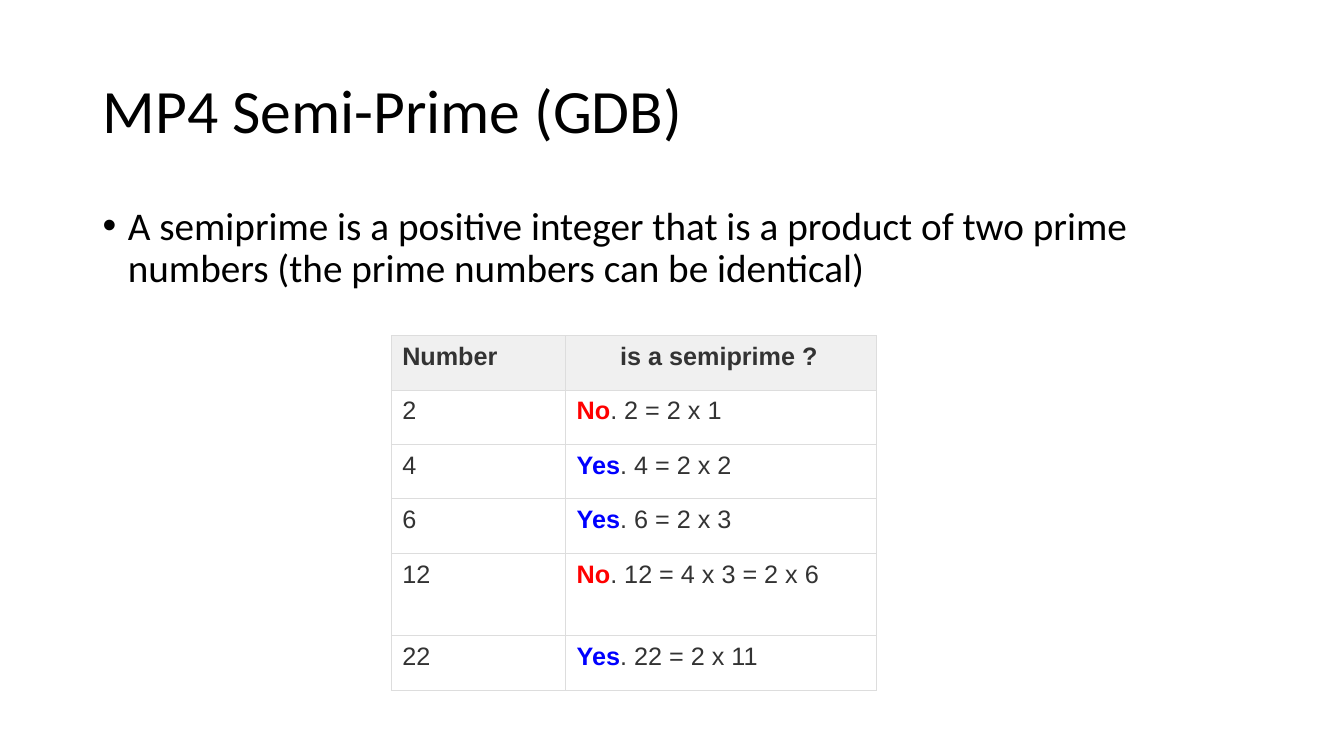
"""Build the semiprime slide: a title, a definition and a table of examples."""
from dataclasses import dataclass

from lxml.etree import SubElement
from pptx import Presentation
from pptx.dml.color import RGBColor as Rgb
from pptx.enum.text import MSO_ANCHOR as Anchor, PP_ALIGN as Align
from pptx.oxml import parse_xml
from pptx.oxml.ns import nsdecls, qn
from pptx.util import Pt

SCALE = 9144
COLORS = {
    "black": "000000", "text": "333333", "no": "FF0000", "yes": "0000FF",
    "head": "F0F0F0", "body": "FFFFFF", "rule": "DDDDDD",
}
COLS = (173, 308)
ROW = 54


@dataclass
class Block:
    text: str
    top: int
    height: int
    size: int
    anchor: Anchor
    bullet: bool = False


@dataclass
class Case:
    number: int
    prime: bool
    proof: str
    height: int = ROW


BLOCKS = (
    Block("MP4 Semi-Prime (GDB)", 40, 145, 44, Anchor.MIDDLE),
    Block("A semiprime is a positive integer that is a product of two prime "
          "numbers (the prime numbers can be identical)",
          200, 476, 28, Anchor.TOP, True),
)
CASES = (
    Case(2, False, "2 x 1"),
    Case(4, True, "2 x 2"),
    Case(6, True, "2 x 3"),
    Case(12, False, "4 x 3 = 2 x 6", 82),
    Case(22, True, "2 x 11"),
)


def px(count: int) -> int:
    return count * SCALE


def style(run, font: str, size: int, color: str, bold: bool = False) -> None:
    run.font.name = font
    run.font.size = Pt(size)
    run.font.bold = bold
    run.font.color.rgb = Rgb.from_string(COLORS[color])


def draw_block(slide, block: Block) -> None:
    box = slide.shapes.add_textbox(px(92), px(block.top), px(1150), px(block.height))
    frame = box.text_frame
    frame.word_wrap = True
    frame.vertical_anchor = block.anchor
    frame.text = block.text
    para = frame.paragraphs[0]
    para.line_spacing = 0.9
    style(para.runs[0], "Calibri", block.size, "black")
    if block.bullet:
        para.space_before = Pt(10)
        props = para._p.get_or_add_pPr()
        props.set("marL", str(px(25)))
        props.set("indent", str(px(-25)))
        SubElement(props, qn("a:buFont"), typeface="Arial")
        SubElement(props, qn("a:buChar"), char="•")


def dress(cell, fill: str, right: int) -> None:
    cell.margin_left, cell.margin_right = px(11), px(right)
    cell.margin_top = cell.margin_bottom = px(7)
    cell.fill.solid()
    cell.fill.fore_color.rgb = Rgb.from_string(COLORS[fill])
    props = cell._tc.get_or_add_tcPr()
    for spot, side in enumerate("LRTB"):
        props.insert(spot, parse_xml(
            f'<a:ln{side} {nsdecls("a")} w="{Pt(0.75)}"><a:solidFill>'
            f'<a:srgbClr val="{COLORS["rule"]}"/></a:solidFill></a:ln{side}>'))


def draw_table(slide, cases: tuple[Case, ...]) -> None:
    heights = [ROW] + [case.height for case in cases]
    table = slide.shapes.add_table(len(heights), len(COLS), px(388), px(333),
                                   px(sum(COLS)), px(sum(heights))).table
    table.first_row = table.horz_banding = False
    for col, width in zip(table.columns, COLS):
        col.width = px(width)
    for row, height in zip(table.rows, heights):
        row.height = px(height)

    for col, label in enumerate(("Number", "is a semiprime ?")):
        cell = table.cell(0, col)
        dress(cell, "head", 15)
        para = cell.text_frame.paragraphs[0]
        para.text = label
        para.alignment = Align.CENTER if col else Align.LEFT
        style(para.runs[0], "Arial", 18, "text", True)

    for row, case in enumerate(cases, 1):
        number, answer = table.cell(row, 0), table.cell(row, 1)
        for cell in (number, answer):
            dress(cell, "body", 11)
        number.text_frame.text = str(case.number)
        style(number.text_frame.paragraphs[0].runs[0], "Arial", 18, "text")
        para = answer.text_frame.paragraphs[0]
        para.text = "Yes" if case.prime else "No"
        style(para.runs[0], "Arial", 18, "yes" if case.prime else "no", True)
        proof = para.add_run()
        proof.text = f". {case.number} = {case.proof}"
        style(proof, "Arial", 18, "text")


def main() -> None:
    deck = Presentation()
    deck.slide_width, deck.slide_height = px(1333), px(750)
    slide = deck.slides.add_slide(deck.slide_layouts[6])
    for block in BLOCKS:
        draw_block(slide, block)
    draw_table(slide, CASES)
    deck.save("out.pptx")


if __name__ == "__main__":
    main()
